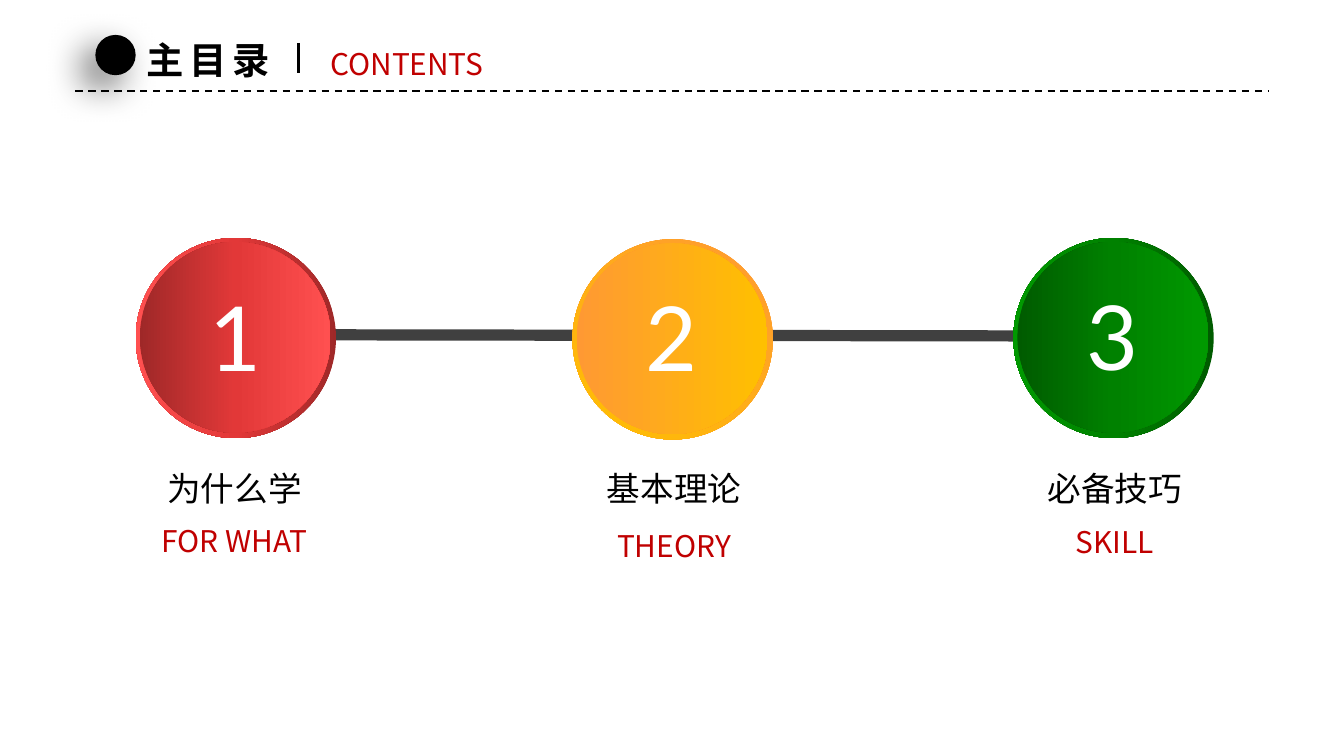
from dataclasses import dataclass

import lxml.etree
import pptx
import pptx.dml.color
import pptx.enum.dml
import pptx.enum.shapes
import pptx.enum.text
import pptx.oxml.ns
import pptx.util

Inches = pptx.util.Inches
Pt = pptx.util.Pt
qn = pptx.oxml.ns.qn
ShapeKind = pptx.enum.shapes.MSO_SHAPE
Align = pptx.enum.text.PP_ALIGN

COLORS = {
    "black": "000000",
    "white": "FFFFFF",
    "accent": "C00000",
    "rail": "404040",
}
CHINESE = "Noto Sans CJK SC"
ENGLISH = "Noto Sans CJK JP"
NUMERAL = "Lato"
RING_SIZE = 1.49
DISC_SIZE = 1.42
DISC_INSET = 0.03


@dataclass(frozen=True)
class TextStyle:
    font: str
    size: float
    color: str
    bold: bool = False
    spacing: float = 0
    align: Align = Align.CENTER
    wrap: bool = True


@dataclass(frozen=True)
class Chapter:
    number: str
    name: str
    english: str
    left: float
    top: float
    number_left: float
    number_top: float
    number_width: float
    name_left: float
    english_top: float
    stops: tuple[tuple[int, str], ...]
    ring_angle: int


HEADING = TextStyle(CHINESE, 20, "black", True, 3, Align.LEFT, False)
SUBHEADING = TextStyle(ENGLISH, 16, "accent", align=Align.LEFT, wrap=False)
NUMBER = TextStyle(NUMERAL, 48, "white")
NAME = TextStyle(CHINESE, 18, "black")
ENGLISH_NAME = TextStyle(ENGLISH, 16, "accent")

CHAPTERS = (
    Chapter("1", "为什么学", "FOR WHAT", 1.01, 1.77, 1.04, 2.05, 1.43, 1, 3.84,
            ((0, "9F2828"), (50, "E23838"), (100, "FF5050")), 180),
    Chapter("3", "必备技巧", "SKILL", 7.54, 1.77, 7.53, 2.04, 1.49, 7.55, 3.85,
            ((0, "005B00"), (50, "008100"), (100, "009900")), 180),
    Chapter("2", "基本理论", "THEORY", 4.26, 1.78, 4.26, 2.05, 1.47, 4.27, 3.88,
            ((0, "FF9933"), (100, "FFC000")), 130),
)


def rgb(name: str) -> pptx.dml.color.RGBColor:
    return pptx.dml.color.RGBColor.from_string(COLORS[name])


def write(holder, text: str, style: TextStyle) -> None:
    frame = holder.text_frame
    frame.text = text
    frame.word_wrap = style.wrap
    frame.auto_size = pptx.enum.text.MSO_AUTO_SIZE.SHAPE_TO_FIT_TEXT
    frame.vertical_anchor = pptx.enum.text.MSO_ANCHOR.TOP
    paragraph = frame.paragraphs[0]
    paragraph.alignment = style.align
    paragraph.font.name = style.font
    paragraph.font.size = Pt(style.size)
    paragraph.font.bold = style.bold
    paragraph.font.color.rgb = rgb(style.color)
    defaults = paragraph._p.pPr.find(qn("a:defRPr"))
    defaults.find(qn("a:latin")).addnext(
        defaults.makeelement(qn("a:ea"), {"typeface": style.font}))
    if style.spacing:
        defaults.set("spc", str(int(style.spacing * 100)))


def place(holder, left: float, top: float, width: float, height: float) -> None:
    holder.left, holder.top = Inches(left), Inches(top)
    holder.width, holder.height = Inches(width), Inches(height)


def add_text(slide, left: float, top: float, width: float, height: float,
             text: str, style: TextStyle) -> None:
    box = slide.shapes.add_textbox(
        Inches(left), Inches(top), Inches(width), Inches(height))
    write(box, text, style)


def add_round(slide, kind: ShapeKind, left: float, top: float, size: float):
    round_shape = slide.shapes.add_shape(
        kind, Inches(left), Inches(top), Inches(size), Inches(size))
    round_shape.shadow.inherit = False
    round_shape.line.fill.background()
    return round_shape


def shade(round_shape, stops: tuple[tuple[int, str], ...], angle: int) -> None:
    round_shape.fill.gradient()
    round_shape.fill.gradient_angle = (360 - angle) % 360
    stop_list = round_shape._element.spPr.find(".//" + qn("a:gsLst"))
    for old_stop in list(stop_list):
        stop_list.remove(old_stop)
    for position, color in stops:
        stop = lxml.etree.SubElement(
            stop_list, qn("a:gs"), pos=str(position * 1000))
        lxml.etree.SubElement(stop, qn("a:srgbClr"), val=color)


def add_rule(slide, start: tuple[float, float], end: tuple[float, float],
             width: float, dashed: bool = False) -> None:
    rule = slide.shapes.add_connector(
        pptx.enum.shapes.MSO_CONNECTOR.STRAIGHT,
        *(Inches(value) for value in start + end))
    rule.line.color.rgb = rgb("black")
    rule.line.width = Pt(width)
    if dashed:
        rule.line.dash_style = pptx.enum.dml.MSO_LINE.DASH
    lxml.etree.SubElement(rule._element.spPr, qn("a:effectLst"))


def add_rail(slide) -> None:
    builder = slide.shapes.build_freeform(Inches(1.74), Inches(2.49))
    builder.add_line_segments([(Inches(7.96), Inches(2.5))], close=False)
    rail = builder.convert_to_shape()
    rail.shadow.inherit = False
    rail.fill.background()
    rail.line.color.rgb = rgb("rail")
    rail.line.width = Pt(6)


def add_bullet(slide) -> None:
    bullet = add_round(slide, ShapeKind.OVAL, 0.71, 0.26, 0.3)
    bullet.fill.solid()
    bullet.fill.fore_color.rgb = rgb("black")
    effects = bullet._element.spPr.find(qn("a:effectLst"))
    shadow = lxml.etree.SubElement(
        effects, qn("a:outerShdw"), blurRad=str(Pt(20)), dist=str(Pt(10)),
        dir=str(135 * 60000), algn="tr", rotWithShape="0")
    color = lxml.etree.SubElement(shadow, qn("a:srgbClr"), val=COLORS["black"])
    lxml.etree.SubElement(color, qn("a:alpha"), val="60000")


def add_badge(slide, chapter: Chapter) -> None:
    ring = add_round(slide, ShapeKind.DONUT, chapter.left, chapter.top, RING_SIZE)
    ring.adjustments[0] = 0.049
    shade(ring, chapter.stops, chapter.ring_angle)
    disc = add_round(slide, ShapeKind.OVAL, chapter.left + DISC_INSET,
                     chapter.top + DISC_INSET, DISC_SIZE)
    shade(disc, chapter.stops, 0)
    add_text(slide, chapter.number_left, chapter.number_top,
             chapter.number_width, 0.91, chapter.number, NUMBER)


def add_caption(slide, chapter: Chapter) -> None:
    add_text(slide, chapter.name_left, 3.43, RING_SIZE, 0.4, chapter.name, NAME)
    add_text(slide, chapter.name_left, chapter.english_top, RING_SIZE, 0.37,
             chapter.english, ENGLISH_NAME)


def main() -> None:
    deck = pptx.Presentation()
    deck.slide_width, deck.slide_height = Inches(10), Inches(10 * 9 / 16)
    slide = deck.slides.add_slide(deck.slide_layouts.get_by_name("Title Only"))
    heading = slide.shapes.title
    place(heading, 0.99, 0.23, 1.17, 0.44)
    write(heading, "主目录", HEADING)
    add_rail(slide)
    add_rule(slide, (0.56, 0.68), (9.44, 0.68), 1, dashed=True)
    add_bullet(slide)
    add_text(slide, 2.36, 0.29, 1.42, 0.37, "CONTENTS", SUBHEADING)
    add_rule(slide, (2.22, 0.32), (2.22, 0.54), 1.5)
    for chapter in CHAPTERS:
        add_badge(slide, chapter)
    for chapter in sorted(CHAPTERS, key=lambda chapter: chapter.left):
        add_caption(slide, chapter)
    deck.save("out.pptx")


main()
